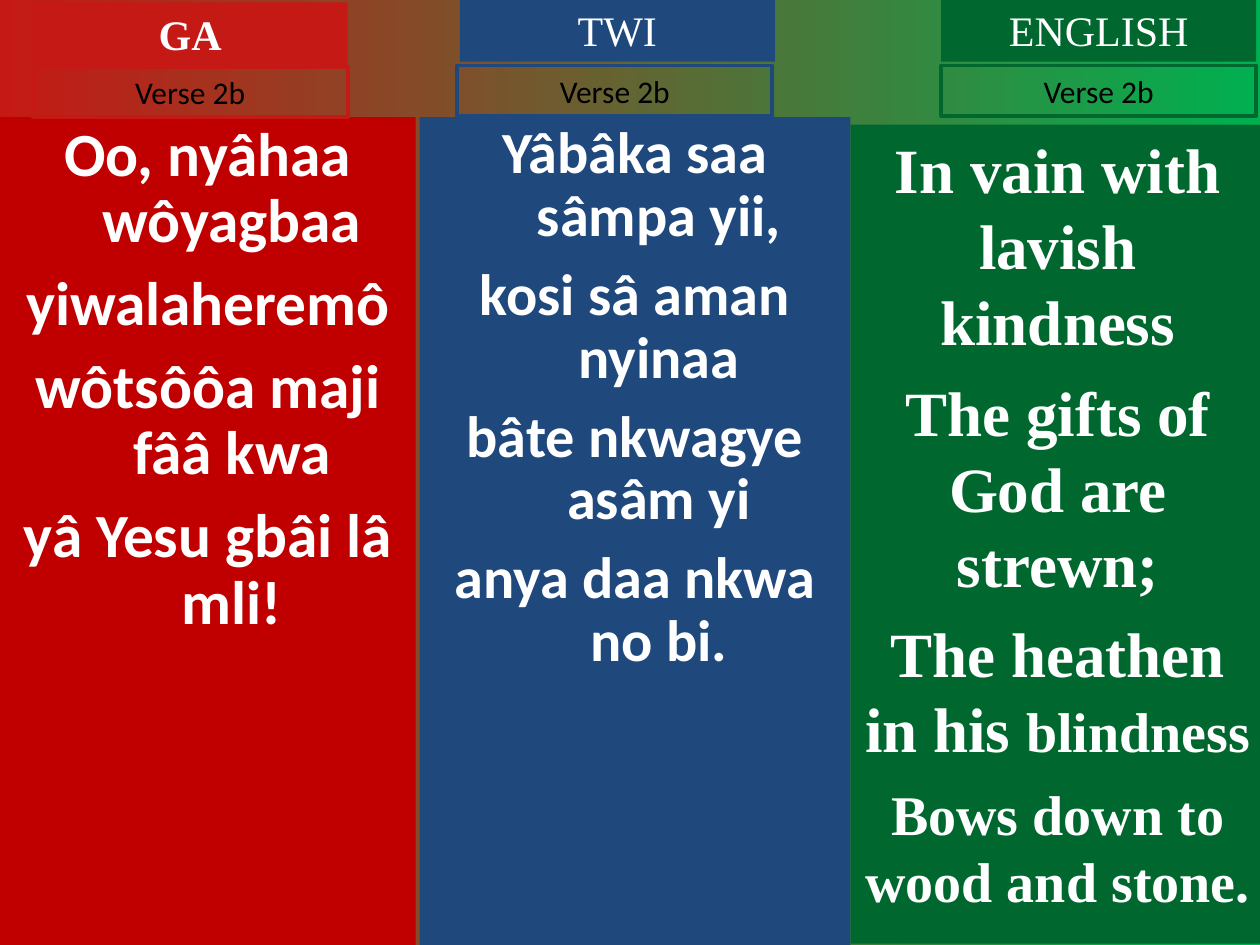
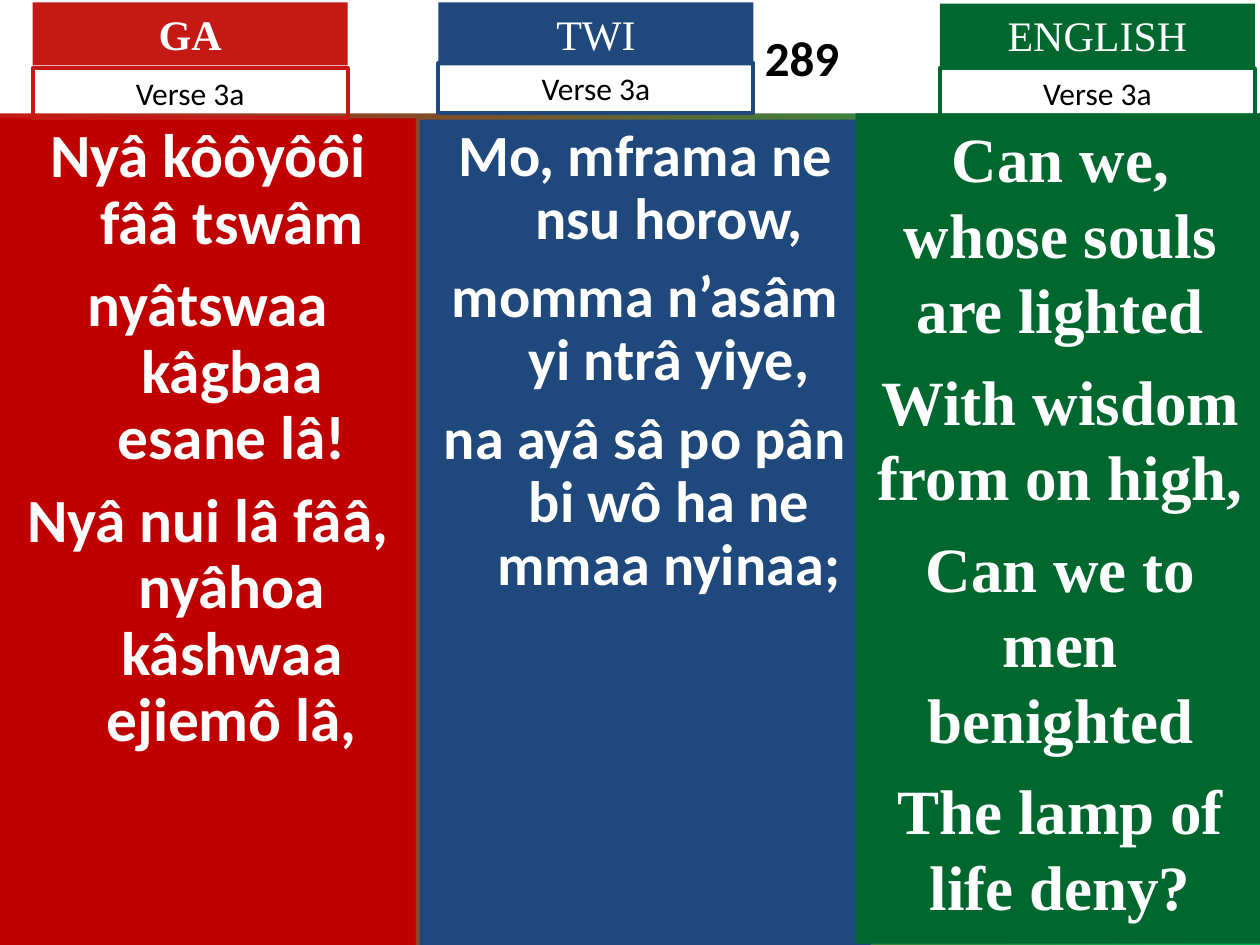
from dataclasses import dataclass

import pptx
import pptx.dml.color
import pptx.enum.shapes
import pptx.enum.text
import pptx.util

RGBColor = pptx.dml.color.RGBColor
Pt = pptx.util.Pt
PP_ALIGN = pptx.enum.text.PP_ALIGN
ANCHOR = pptx.enum.text.MSO_ANCHOR

RED = RGBColor(0xC5, 0x19, 0x15)
DEEP_RED = RGBColor(0xC0, 0x00, 0x00)
BLUE = RGBColor(0x1F, 0x49, 0x7D)
GREEN = RGBColor(0x00, 0x68, 0x2F)
BRIGHT_GREEN = RGBColor(0x00, 0xB0, 0x50)
WHITE = RGBColor(0xFF, 0xFF, 0xFF)
BLACK = RGBColor(0x00, 0x00, 0x00)

SANS, SERIF = "Calibri", "Times New Roman"
TITLE_ONLY, BLANK = 5, 6
COLUMNS, ROWS = 100, 75
TAG_WIDTH, HEADING_HEIGHT, VERSE_HEIGHT = 25, 5, 4


@dataclass
class Language:
    name: str
    accent: RGBColor
    pane_colour: RGBColor
    font: str
    size: float
    gap: float
    line_spacing: float = 1
    hanging: float = 0
    bold_heading: bool = False


GA = Language("GA", RED, DEEP_RED, SANS, 35.1, 9.5, 0.9, 3.8, True)
TWI = Language("TWI", BLUE, BLUE, SANS, 33.3, 9, 0.9, 3.8)
ENGLISH = Language("ENGLISH", GREEN, GREEN, SERIF, 36, 9)


@dataclass
class Line:
    """A lyric line whose ending is set in a smaller size."""
    opening: str
    ending: str
    ending_size: float = 32
    gap: float = 8


class HymnDeck:
    def __init__(self):
        self.deck = pptx.Presentation()
        self.deck.slide_width = pptx.util.Inches(10)
        self.deck.slide_height = pptx.util.Inches(7.5)
        self.slide = None
        backdrop = self.deck.slide_master.background.fill
        backdrop.gradient()
        backdrop.gradient_angle = 0
        for stop, colour, position in zip(backdrop.gradient_stops, (RED, BRIGHT_GREEN), (0, 1)):
            stop.color.rgb = colour
            stop.position = position

    def across(self, columns):
        return round(self.deck.slide_width * columns / COLUMNS)

    def down(self, rows):
        return round(self.deck.slide_height * rows / ROWS)

    def new_slide(self, layout):
        self.slide = self.deck.slides.add_slide(self.deck.slide_layouts[layout])

    def style(self, run, font, size, colour, bold=False):
        run.font.name = font
        run.font.size = Pt(size)
        run.font.color.rgb = colour
        run.font.bold = bold

    def title(self, number, indent):
        band = self.slide.shapes.title
        band.left, band.top = 0, 0
        band.width, band.height = self.across(COLUMNS), self.down(9)
        band.fill.solid()
        band.fill.fore_color.rgb = WHITE
        frame = band.text_frame
        frame.text = number
        frame.auto_size = pptx.enum.text.MSO_AUTO_SIZE.NONE
        frame.vertical_anchor = ANCHOR.MIDDLE
        frame.margin_left = self.across(indent)
        frame.paragraphs[0].alignment = PP_ALIGN.LEFT
        self.style(frame.paragraphs[0].runs[0], SANS, 28, BLACK, True)

    def box(self, left, top, width, height, fill=None, outline=None):
        shape = self.slide.shapes.add_shape(
            pptx.enum.shapes.MSO_SHAPE.RECTANGLE,
            self.across(left), self.down(top), self.across(width), self.down(height))
        shape.shadow.inherit = False
        if fill is None:
            shape.fill.background()
        else:
            shape.fill.solid()
            shape.fill.fore_color.rgb = fill
        if outline is None:
            shape.line.fill.background()
        else:
            shape.line.color.rgb = outline
            shape.line.width = Pt(2.25)
        frame = shape.text_frame
        frame.word_wrap = True
        frame.vertical_anchor = ANCHOR.TOP
        return frame

    def tag(self, frame, text, font, size, colour, bold=False):
        frame.text = text
        frame.paragraphs[0].alignment = PP_ALIGN.CENTER
        self.style(frame.paragraphs[0].runs[0], font, size, colour, bold)

    def heading(self, language, left, top):
        frame = self.box(left, top, TAG_WIDTH, HEADING_HEIGHT, fill=language.accent)
        self.tag(frame, language.name, SERIF, 24, WHITE, language.bold_heading)

    def verse_label(self, language, verse, left, top):
        frame = self.box(left, top, TAG_WIDTH, VERSE_HEIGHT, outline=language.accent)
        self.tag(frame, verse, SANS, 18, BLACK)

    def lyrics(self, language, place, lines):
        frame = self.box(*place, fill=language.pane_colour)
        for index, line in enumerate(lines):
            paragraph = frame.add_paragraph() if index else frame.paragraphs[0]
            mixed = isinstance(line, Line)
            paragraph.text = line.opening if mixed else line
            if mixed:
                paragraph.add_run().text = line.ending
            paragraph.alignment = PP_ALIGN.CENTER
            paragraph.line_spacing = language.line_spacing
            if index:
                paragraph.space_before = Pt(line.gap if mixed else language.gap)
            if language.hanging:
                properties = paragraph._p.get_or_add_pPr()
                properties.set("marL", str(self.across(language.hanging)))
                properties.set("indent", str(-self.across(language.hanging)))
            for run in paragraph.runs:
                self.style(run, language.font, language.size, WHITE, True)
            if mixed:
                paragraph.runs[-1].font.size = Pt(line.ending_size)

    def translation(self, language, verse, pane, heading_at, label_at, lines):
        """Draw one language: its lyrics pane, heading and verse label."""
        self.lyrics(language, pane, lines)
        self.heading(language, *heading_at)
        self.verse_label(language, verse, *label_at)


def main():
    hymn = HymnDeck()

    hymn.new_slide(BLANK)
    verse = "Verse 2b"
    hymn.translation(GA, verse, (0, 9.3, 33, 65.7), (2.6, 0.2), (2.6, 5.3), [
        "Oo, nyâhaa wôyagbaa",
        "yiwalaheremô",
        "wôtsôôa maji fââ kwa",
        "yâ Yesu gbâi lâ mli!",
    ])
    hymn.translation(TWI, verse, (33.3, 9.3, 34.2, 65.7), (36.5, -0.1), (36.3, 5.2), [
        "Yâbâka saa sâmpa yii,",
        "kosi sâ aman nyinaa",
        "bâte nkwagye asâm yi",
        "anya daa nkwa no bi.",
    ])
    hymn.translation(ENGLISH, verse, (67.5, 9.9, 32.9, 65), (74.7, -0.1), (74.7, 5.2), [
        "In vain with lavish kindness",
        "The gifts of God are strewn;",
        Line("The heathen in his ", "blindness"),
        Line("", "Bows down to wood and stone."),
    ])

    hymn.new_slide(TITLE_ONLY)
    hymn.title("289", indent=60.7)
    verse = "Verse 3a"
    hymn.translation(GA, verse, (0, 9.4, 33, 65.6), (2.6, 0.2), (2.6, 5.4), [
        "Nyâ kôôyôôi fââ tswâm",
        "nyâtswaa kâgbaa esane lâ!",
        "Nyâ nui lâ fââ, nyâhoa kâshwaa ejiemô lâ,",
    ])
    hymn.translation(TWI, verse, (33.3, 9.5, 35.8, 65.5), (34.8, 0.2), (34.8, 5), [
        "Mo, mframa ne nsu horow,",
        "momma n’asâm yi ntrâ yiye,",
        "na ayâ sâ po pân bi wô ha ne mmaa nyinaa;",
    ])
    hymn.translation(ENGLISH, verse, (67.9, 9, 32.5, 65.9), (74.6, 0.3), (74.6, 5.4), [
        "Can we, whose souls are lighted",
        "With wisdom from on high,",
        "Can we to men benighted",
        "The lamp of life deny?",
    ])

    hymn.deck.save("out.pptx")


if __name__ == "__main__":
    main()
